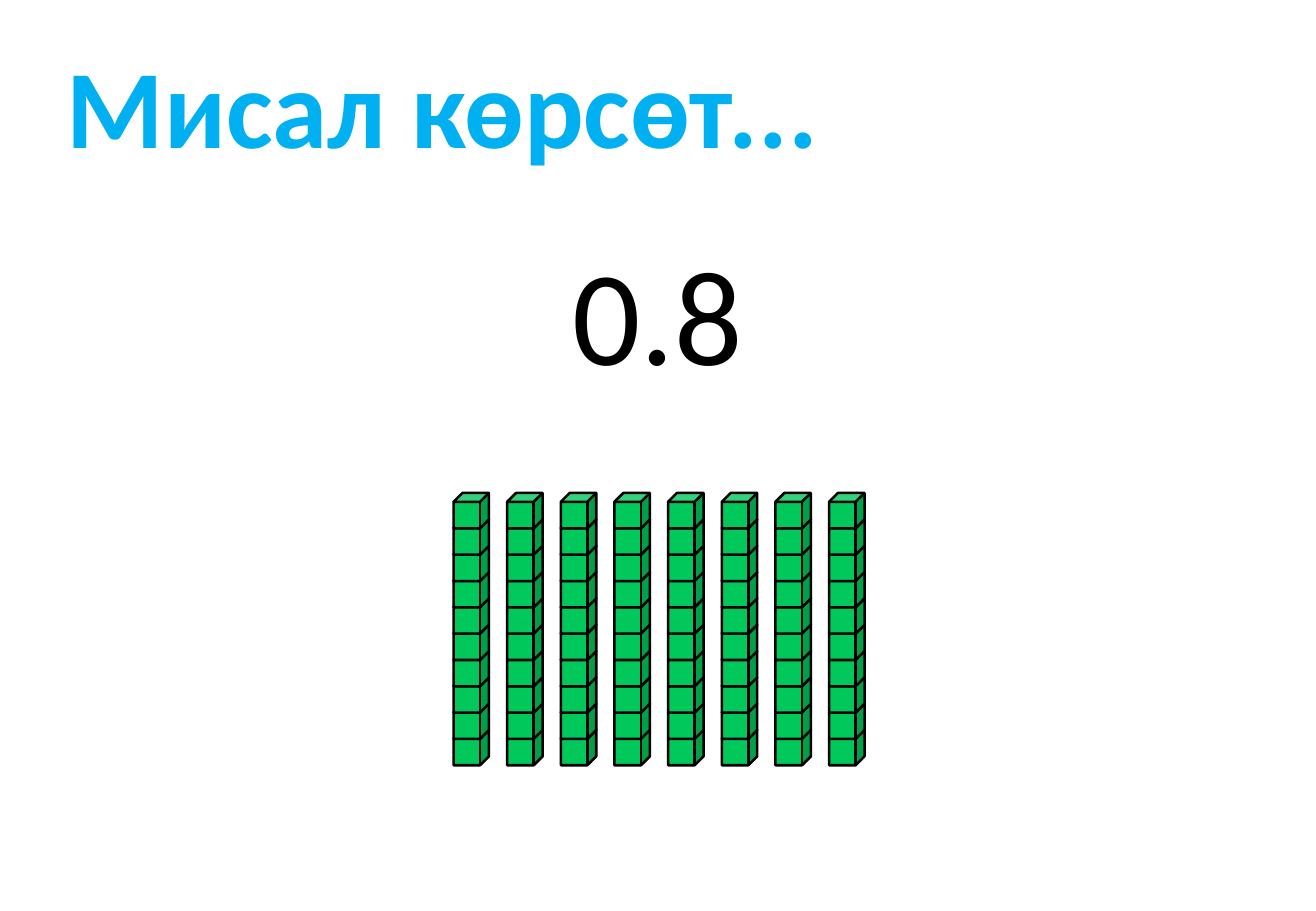
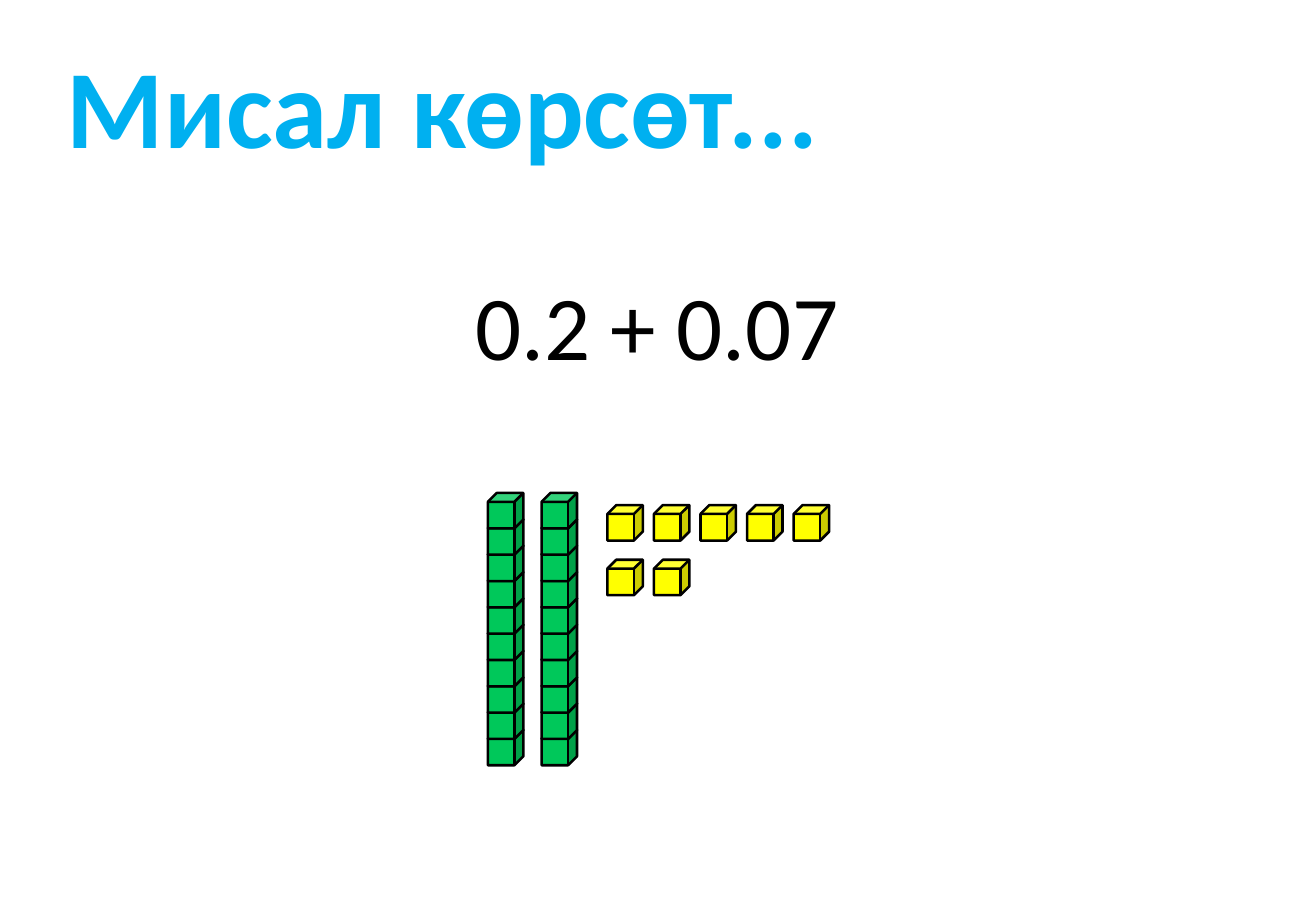
from pptx import Presentation
from pptx.dml.color import RGBColor
from pptx.enum.shapes import MSO_SHAPE as Form
from pptx.enum.text import MSO_ANCHOR as Anchor, MSO_AUTO_SIZE as Fit, PP_ALIGN as Align
from pptx.util import Emu, Pt

PX = 7620  # EMU per px, 120 px to the inch
WIDE, HIGH = 1300, 900
FONT = "Calibri"
BLACK, SKY, GREEN, YELLOW = "000000", "00B0F0", "00C85A", "FFFF00"
CUBE, STACK, TENTHS = 35, 26, 10
ROD_GAP, ROD_TOP = 53, 487


def px(num):
    return Emu(num * PX)


def tint(code):
    return RGBColor.from_string(code)


class Deck:
    def __init__(self):
        self.show = Presentation()
        self.show.slide_width, self.show.slide_height = px(WIDE), px(HIGH)
        self.slide = None

    def start(self, title):
        self.slide = self.show.slides.add_slide(self.show.slide_layouts[5])
        box = self.slide.shapes.title
        self.place(box, 29, 31, 905, 145)
        box.text_frame.margin_left = px(37)
        self.label(box, title, 66, SKY, Align.LEFT, bold=True)

    def place(self, box, left, top, width, height):
        box.left, box.top = px(left), px(top)
        box.width, box.height = px(width), px(height)

    def label(self, box, text, size, color, align, bold=False, wrap=True):
        frame = box.text_frame
        frame.text = text
        frame.word_wrap = wrap
        frame.auto_size = Fit.SHAPE_TO_FIT_TEXT
        frame.vertical_anchor = Anchor.TOP
        para = frame.paragraphs[0]
        para.alignment = align
        font = para.runs[0].font
        font.name, font.size, font.bold = FONT, Pt(size), bold
        font.color.rgb = tint(color)

    def number(self, text, size, left, top, width, height):
        box = self.slide.shapes.add_textbox(
            px(left), px(top), px(width), px(height))
        self.label(box, text, size, BLACK, Align.CENTER, wrap=False)

    def cube(self, group, left, top, color):
        cube = group.shapes.add_shape(
            Form.CUBE, px(left), px(top), px(CUBE), px(CUBE))
        cube.shadow.inherit = False
        cube.fill.solid()
        cube.fill.fore_color.rgb = tint(color)
        cube.line.color.rgb = tint(BLACK)
        cube.line.width = Pt(1.5)

    def rods(self, count, left):
        """Draw tenths as rods, each stacked from the bottom cube up."""
        for col in range(count):
            group = self.slide.shapes.add_group_shape()
            for row in reversed(range(TENTHS)):
                self.cube(group, left + col * ROD_GAP,
                          ROD_TOP + row * STACK, GREEN)

    def units(self, count, left, top):
        """Draw hundredths as single cubes, five to a row."""
        group = self.slide.shapes.add_group_shape()
        for item in range(count):
            row, col = divmod(item, 5)
            self.cube(group, left + col * 46, top + row * 54, YELLOW)


def main():
    title = "Мисал көрсөт..."
    deck = Deck()

    deck.start(title)
    deck.number("0.8", 80, 553, 222, 194, 174)
    deck.rods(8, 448)

    deck.start(title)
    deck.number("0.2 + 0.07", 54, 456, 260, 386, 121)
    deck.rods(2, 482)
    deck.units(7, 600, 499)

    deck.show.save("out.pptx")


if __name__ == "__main__":
    main()
